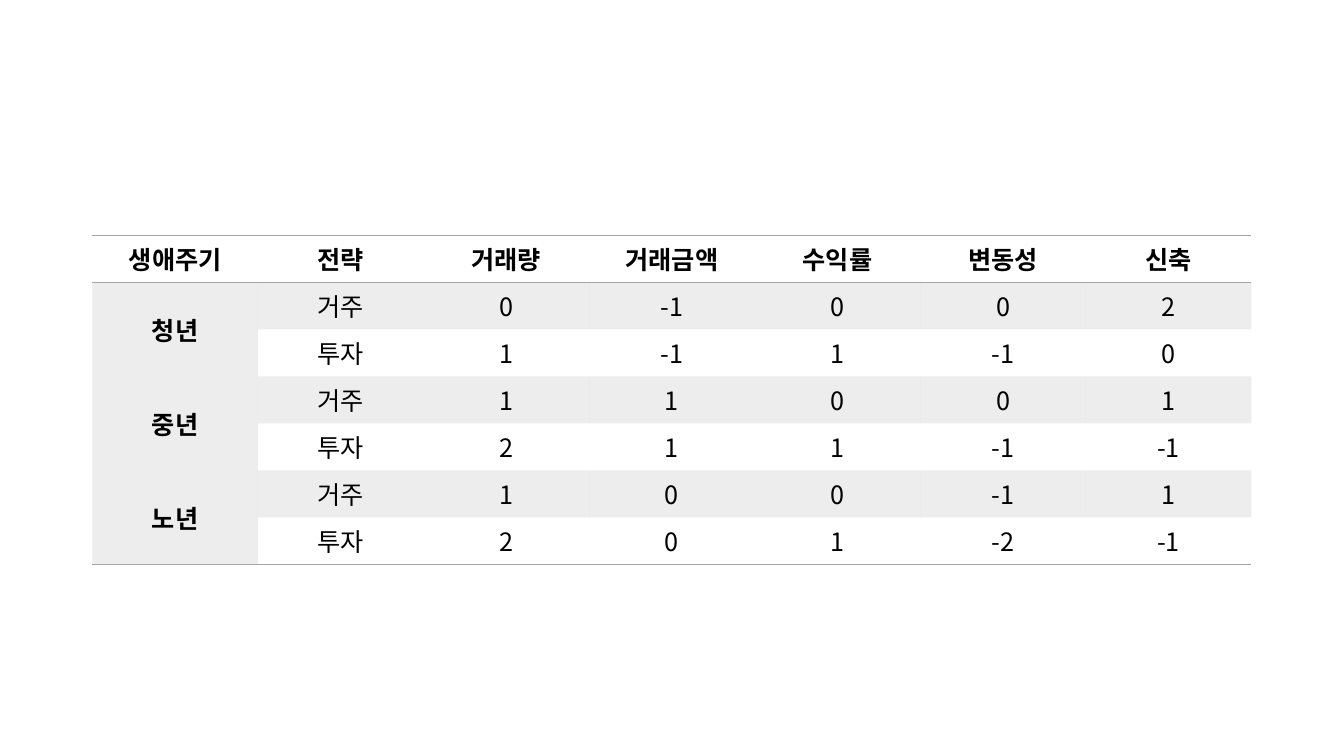
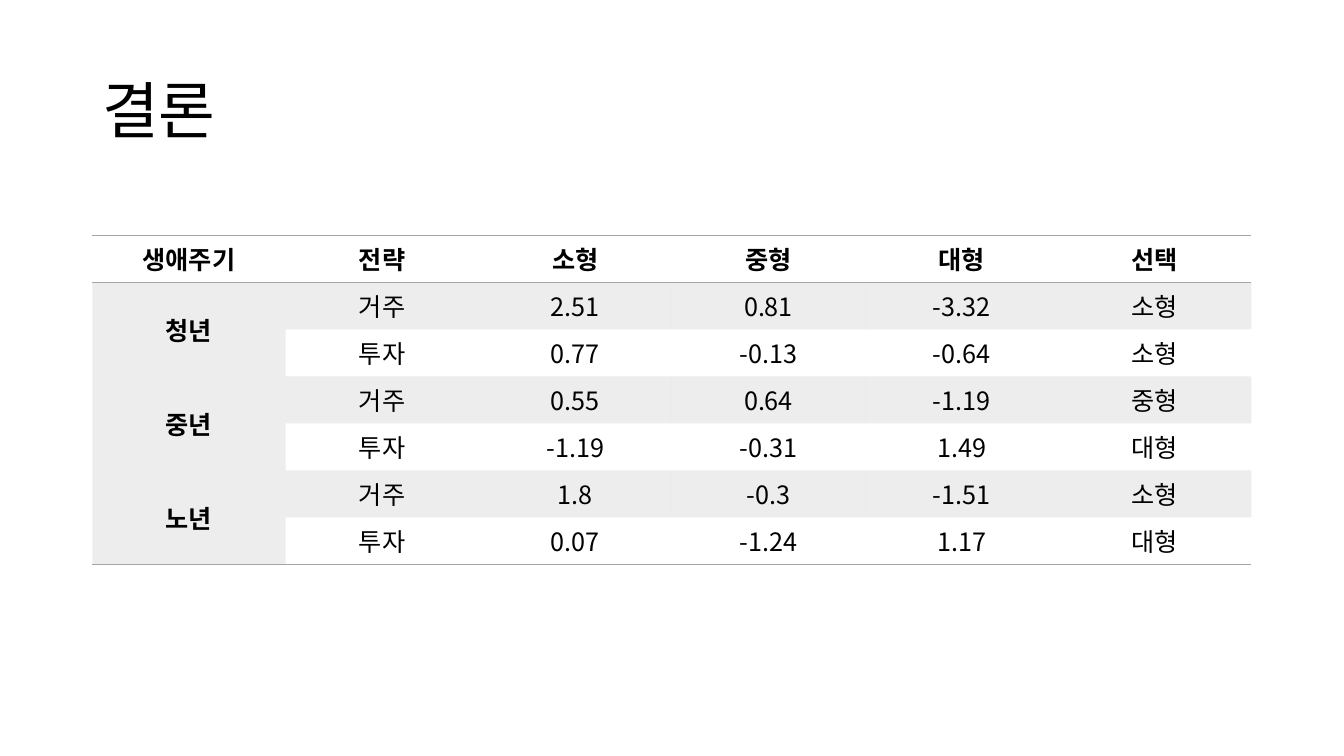
from lxml import etree
from pptx import Presentation
from pptx.dml.color import RGBColor
from pptx.enum.text import MSO_ANCHOR, PP_ALIGN
from pptx.oxml.ns import qn
from pptx.util import Inches, Pt

CENTER = PP_ALIGN.CENTER
MIDDLE = MSO_ANCHOR.MIDDLE

BLACK = RGBColor(0x00, 0x00, 0x00)
GRAY = RGBColor(0xA5, 0xA5, 0xA5)
TINT = 20  # opacity of the gray bands, in percent
SANS = "Noto Sans CJK KR"
HEAD = "Arial"
PLAIN = "{2D5ABB26-0587-4C30-8999-92F81FD0307C}"  # no style, no grid

# The slide is a grid of 160 by 90 square units.
WIDE, HIGH = 160, 90
UNIT = Inches(7.5) / HIGH
LEFT, SPAN = 11, 138
ROW = 5.6

STAGES = ["청년", "중년", "노년"]
PLANS = ["거주", "투자"]
KEYS = ["생애주기", "전략"]

FACTORS = ["거래량", "거래금액", "수익률", "변동성", "신축"]
WEIGHTS = [
    [0, -1, 0, 0, 2],
    [1, -1, 1, -1, 0],
    [1, 1, 0, 0, 1],
    [2, 1, 1, -1, -1],
    [1, 0, 0, -1, 1],
    [2, 0, 1, -2, -1],
]
SIZES = ["소형", "중형", "대형", "선택"]
SCORES = [
    [2.51, 0.81, -3.32, "소형"],
    [0.77, -0.13, -0.64, "소형"],
    [0.55, 0.64, -1.19, "중형"],
    [-1.19, -0.31, 1.49, "대형"],
    [1.8, -0.3, -1.51, "소형"],
    [0.07, -1.24, 1.17, "대형"],
]


def grid(*units):
    return [round(unit * UNIT) for unit in units]


def write(para, text, size, face, bold=False):
    run = para.add_run()
    run.text = text
    font = run.font
    font.size, font.name, font.bold = Pt(size), face, bold
    font.color.rgb = BLACK
    east = etree.Element(qn("a:ea"), typeface=SANS)
    run.font._element.find(qn("a:latin")).addnext(east)


def rule(cell, side):
    """Draw a thin gray border; side is T or B."""
    props = cell._tc.get_or_add_tcPr()
    line = etree.SubElement(props, qn("a:ln" + side), w=str(Pt(1)))
    fill = etree.SubElement(line, qn("a:solidFill"))
    etree.SubElement(fill, qn("a:srgbClr"), val=str(GRAY))


def shade(cell):
    cell.fill.solid()
    cell.fill.fore_color.rgb = GRAY
    color = cell._tc.tcPr.find(qn("a:solidFill")).find(qn("a:srgbClr"))
    etree.SubElement(color, qn("a:alpha"), val=str(TINT * 1000))


def add_title(slide, text):
    frame = slide.shapes.add_textbox(*grid(LEFT, 4.8, SPAN, 17.4)).text_frame
    frame.word_wrap = True
    frame.vertical_anchor = MIDDLE
    para = frame.paragraphs[0]
    para.line_spacing = 0.9
    write(para, text, 44, HEAD)


def add_stages(slide, heads, values):
    """Add a table with one block of plans for each stage of life."""
    rows, cols = len(values) + 1, len(KEYS) + len(heads)
    place = grid(LEFT, 28, SPAN, rows * ROW)
    table = slide.shapes.add_table(rows, cols, *place).table
    table.horz_banding = False
    table._tbl.tblPr.find(qn("a:tableStyleId")).text = PLAIN

    step = len(PLANS)
    lines = [KEYS + heads]
    for i, line in enumerate(values):
        stage = STAGES[i // step] if i % step == 0 else ""
        lines.append([stage, PLANS[i % step]] + line)
    for top in range(1, rows, step):
        table.cell(top, 0).merge(table.cell(top + step - 1, 0))

    for r, line in enumerate(lines):
        for c, value in enumerate(line):
            cell = table.cell(r, c)
            end = r + cell.span_height if cell.is_merge_origin else r + 1
            if r == 0:
                rule(cell, "T")
            if r == 0 or end == rows:
                rule(cell, "B")
            if r % step == 1 and not cell.is_spanned:
                shade(cell)
            else:
                cell.fill.background()
            cell.vertical_anchor = MIDDLE
            para = cell.text_frame.paragraphs[0]
            para.alignment = CENTER
            if value != "":
                write(para, str(value), 18, SANS, r == 0 or c == 0)


def main():
    deck = Presentation()
    deck.slide_width, deck.slide_height = grid(WIDE, HIGH)
    blank = deck.slide_layouts[6]

    add_stages(deck.slides.add_slide(blank), FACTORS, WEIGHTS)

    slide = deck.slides.add_slide(blank)
    add_title(slide, "결론")
    add_stages(slide, SIZES, SCORES)

    deck.save("out.pptx")


if __name__ == "__main__":
    main()
